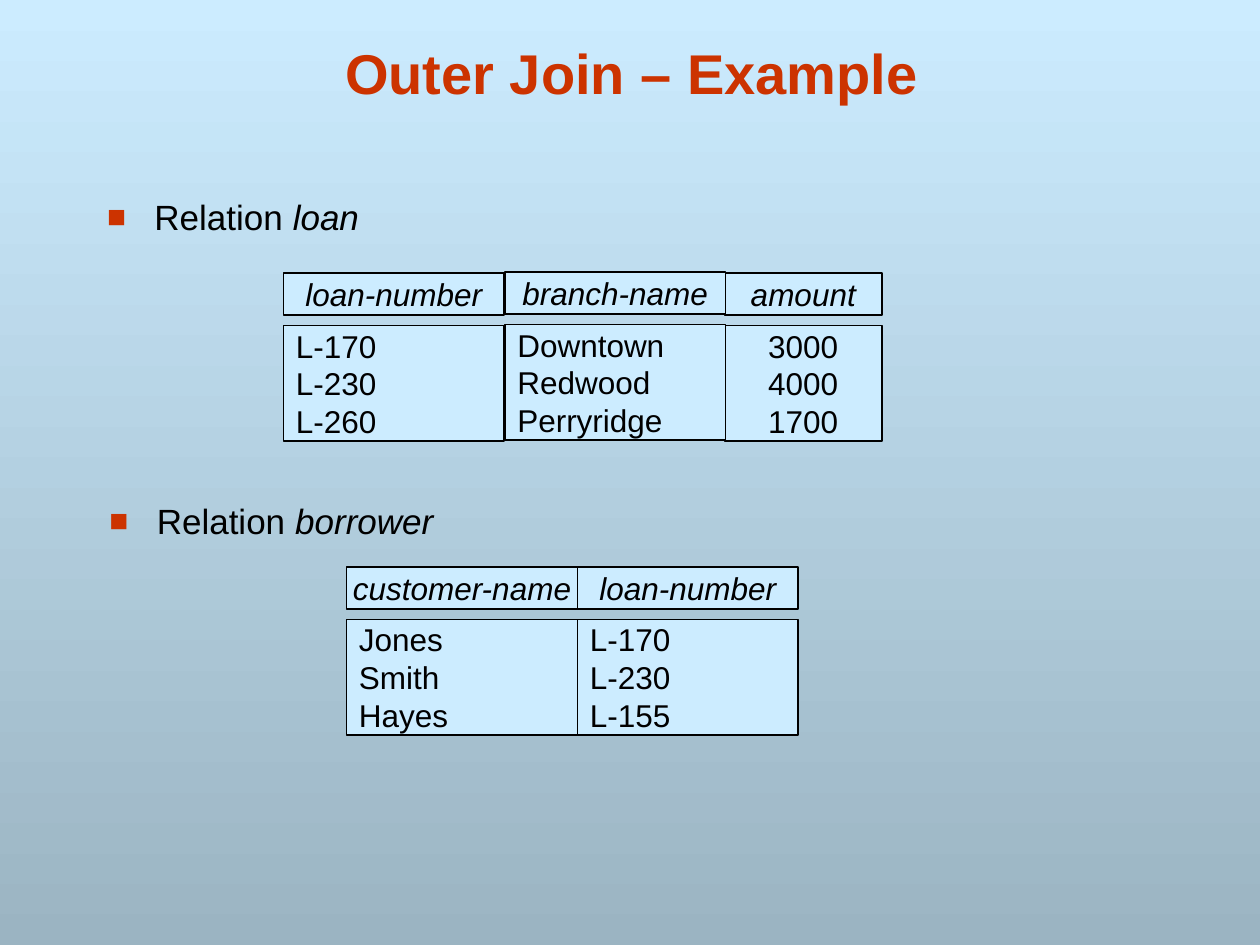
from dataclasses import dataclass

from lxml.etree import SubElement
from pptx import Presentation
from pptx.dml.color import RGBColor as Rgb
from pptx.enum.shapes import MSO_SHAPE as Shape
from pptx.enum.text import MSO_ANCHOR as Anchor, MSO_AUTO_SIZE as AutoSize, PP_ALIGN as Align
from pptx.oxml.ns import qn
from pptx.util import Pt


@dataclass(frozen=True)
class Theme:
    font: str = "Arial"
    accent: Rgb = Rgb(0xCC, 0x33, 0x00)
    ink: Rgb = Rgb(0, 0, 0)
    pale: Rgb = Rgb(0xCC, 0xEC, 0xFF)
    slate: Rgb = Rgb(0x9B, 0xB4, 0xC2)
    title_size: float = 32
    bullet_size: float = 20
    cell_size: float = 18
    header_height: float = 24
    values_height: float = 66
    header_gap: float = 6


class SlideBuilder:
    def __init__(self, deck, theme):
        self.theme = theme
        self.slide = deck.slides.add_slide(deck.slide_layouts[1])

    def background(self):
        fill = self.slide.background.fill
        fill.gradient()
        fill.gradient_angle = 270
        for stop, color in zip(fill.gradient_stops, (self.theme.pale, self.theme.slate)):
            stop.color.rgb = color

    def place(self, shape, left, top, width, height):
        shape.left, shape.top = Pt(left), Pt(top)
        shape.width, shape.height = Pt(width), Pt(height)

    def style(self, para, size, color, align=Align.LEFT):
        para.alignment = align
        para.font.name = self.theme.font
        para.font.size = Pt(size)
        para.font.color.rgb = color

    def title(self, text, *bounds):
        title = self.slide.shapes.title
        self.place(title, *bounds)
        frame = title.text_frame
        frame.text = text
        frame.auto_size = AutoSize.NONE
        frame.vertical_anchor = Anchor.BOTTOM
        para = frame.paragraphs[0]
        self.style(para, self.theme.title_size, self.theme.accent, Align.CENTER)
        para.font.bold = True

    def relation(self, box, name, *bounds):
        """Fill a box with a square-bulleted line naming a relation in italics."""
        self.place(box, *bounds)
        frame = box.text_frame
        frame.word_wrap = True
        frame.auto_size = AutoSize.NONE
        para = frame.paragraphs[0]
        para.add_run().text = "Relation "
        span = para.add_run()
        span.text = name
        span.font.italic = True
        self.style(para, self.theme.bullet_size, self.theme.ink)
        para.space_before = Pt(8.8)
        self.bullet(para)

    def bullet(self, para):
        props = para._p.get_or_add_pPr()
        props.set("marL", str(Pt(27)))
        props.set("indent", str(-Pt(27)))
        color = SubElement(props, qn("a:buClr"))
        SubElement(color, qn("a:srgbClr"), val=str(self.theme.accent))
        SubElement(props, qn("a:buSzPct"), val="90000")
        SubElement(props, qn("a:buFont"), typeface=self.theme.font)
        SubElement(props, qn("a:buChar"), char="■")

    def text_box(self):
        return self.slide.shapes.add_textbox(0, 0, 0, 0)

    def cell(self, lines, bounds, align, italic=False):
        box = self.slide.shapes.add_shape(Shape.RECTANGLE, *map(Pt, bounds))
        box.shadow.inherit = False
        box.fill.solid()
        box.fill.fore_color.rgb = self.theme.pale
        box.line.color.rgb = self.theme.ink
        box.line.width = Pt(0.75)
        frame = box.text_frame
        frame.word_wrap = False
        frame.vertical_anchor = Anchor.MIDDLE
        frame.text = "\n".join(lines)
        for para in frame.paragraphs:
            self.style(para, self.theme.cell_size, self.theme.ink, align)
            para.font.italic = italic

    def column(self, header, values, left, top, width, align=Align.LEFT):
        """Draw a header cell and, below a small gap, one cell with all values."""
        theme = self.theme
        values_top = top + theme.header_height + theme.header_gap
        self.cell([header], (left, top, width, theme.header_height), Align.CENTER, italic=True)
        self.cell(values, (left, values_top, width, theme.values_height), align)


def main():
    deck = Presentation()
    deck.slide_width, deck.slide_height = Pt(720), Pt(540)
    page = SlideBuilder(deck, Theme())
    page.background()
    page.title("Outer Join – Example", 43, 16, 636, 48)

    page.relation(page.slide.placeholders[1], "loan", 54, 108, 554, 38)
    page.column("loan-number", ["L-170", "L-230", "L-260"], 162, 156, 126)
    page.column("amount", ["3000", "4000", "1700"], 414, 156, 90, Align.CENTER)
    page.column("branch-name", ["Downtown", "Redwood", "Perryridge"], 288.5, 155.5, 126)

    page.relation(page.text_box(), "borrower", 55.5, 282, 554, 38)
    page.column("customer-name", ["Jones", "Smith", "Hayes"], 198, 324, 132)
    page.column("loan-number", ["L-170", "L-230", "L-155"], 330, 324, 126)

    deck.save("out.pptx")


if __name__ == "__main__":
    main()
